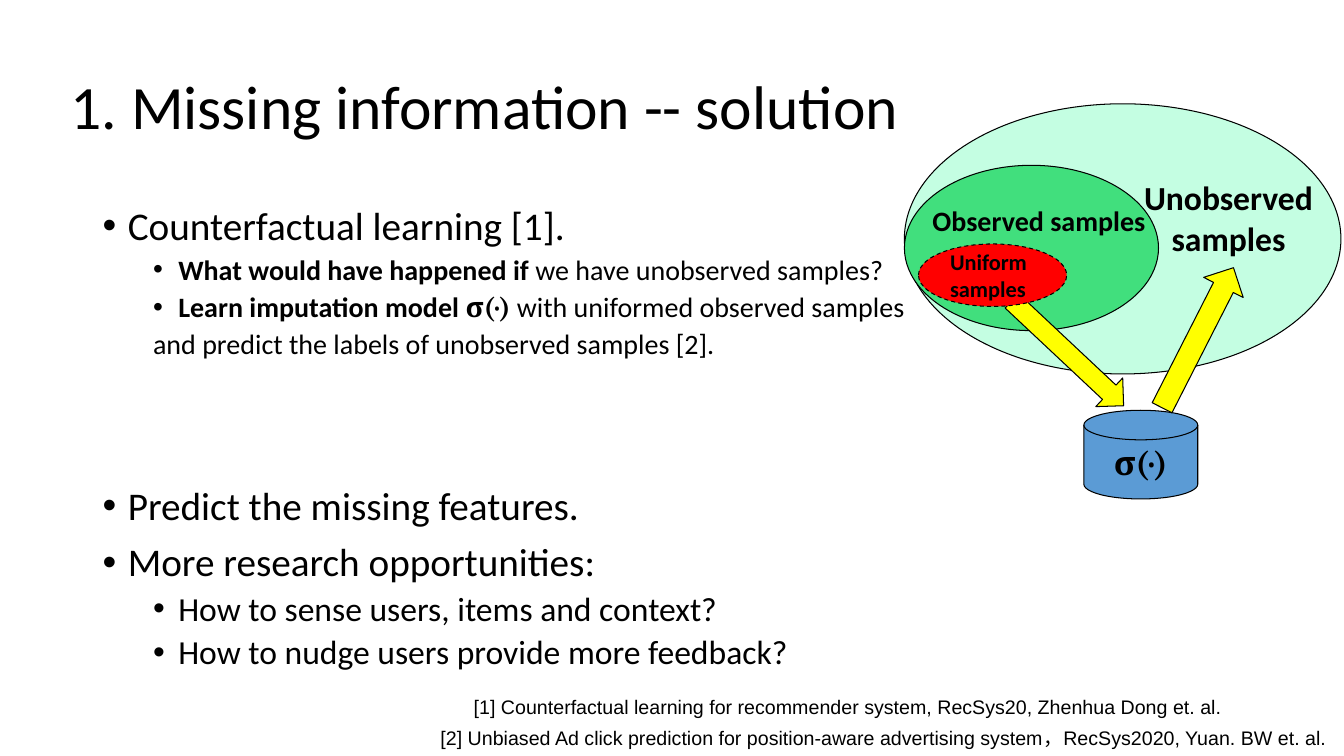
from lxml.etree import SubElement as Sub
from pptx import Presentation
from pptx.dml.color import RGBColor as Rgb
from pptx.enum.dml import MSO_LINE as Dash
from pptx.enum.shapes import MSO_SHAPE as Kind
from pptx.enum.text import MSO_ANCHOR as Anchor, PP_ALIGN as Align
from pptx.oxml.ns import qn
from pptx.util import Pt

PX = 9144
INK = {
    "text": "000000", "pale": "C4FEE2", "green": "41DF7D",
    "red": "FF0000", "blue": "5B9BD5", "yellow": "FFFF00",
}
SANS, MATH, NOTE = "Calibri", "Cambria", "Arial"
TOP, SUB, FLAT = (25, -25, 0), (75, -25, 1), (50, 0, 1)
POINTS = [
    (TOP, 28, 0, [("Counterfactual learning [1].", SANS, False)]),
    (SUB, 20, 5, [("What would have happened if", SANS, True),
                  (" we have unobserved samples?", SANS, False)]),
    (SUB, 20, 5, [("Learn imputation model ", SANS, True),
                  ("σ(·) ", MATH, True),
                  ("with uniformed observed samples", SANS, False)]),
    (FLAT, 20, 5, [("and predict the labels of unobserved samples [2].", SANS, False)]),
    (TOP, 28, 90, [("Predict the missing features.", SANS, False)]),
    (TOP, 28, 10, [("More research opportunities:", SANS, False)]),
    (SUB, 24, 5, [("How to sense users, items and context?", SANS, False)]),
    (SUB, 24, 5, [("How to nudge users provide more feedback?", SANS, False)]),
]
NOTES = [
    (460, 684, "[1] Counterfactual learning for recommender system, RecSys20, Zhenhua Dong et. al."),
    (427, 715, "[2] Unbiased Ad click prediction for position-aware advertising system，RecSys2020, Yuan. BW et. al."),
]
WIDE, HIGH = 1333, 750


def emu(box):
    return [n * PX for n in box]


def add_run(para, text, size, face=SANS, bold=False):
    run = para.add_run()
    run.text = text
    font = run.font
    font.size, font.name, font.bold = Pt(size), face, bold
    font.color.rgb = Rgb.from_string(INK["text"])


def add_text(slide, box):
    frame = slide.shapes.add_textbox(*emu(box)).text_frame
    frame.word_wrap = True
    return frame


def add_label(slide, box, text, size):
    para = add_text(slide, box).paragraphs[0]
    para.alignment = Align.CENTER
    add_run(para, text, size, bold=True)


def add_form(slide, kind, box, tint, turn=0):
    form = slide.shapes.add_shape(kind, *emu(box))
    form.shadow.inherit = False
    form.fill.solid()
    form.fill.fore_color.rgb = Rgb.from_string(INK[tint])
    form.line.color.rgb = Rgb.from_string(INK["text"])
    form.line.width = Pt(0.75)
    form.rotation = turn
    return form


def fill_form(form, text, size, face, align):
    frame = form.text_frame
    frame.word_wrap = True
    frame.vertical_anchor = Anchor.MIDDLE
    para = frame.paragraphs[0]
    para.alignment = align
    add_run(para, text, size, face, True)


def add_title(slide, box):
    frame = add_text(slide, box)
    frame.vertical_anchor = Anchor.MIDDLE
    para = frame.paragraphs[0]
    para.line_spacing = 0.9
    add_run(para, "1. Missing information -- solution", 44)


def add_points(slide, box):
    frame = add_text(slide, box)
    for i, (style, size, gap, runs) in enumerate(POINTS):
        para = frame.add_paragraph() if i else frame.paragraphs[0]
        left, hang, para.level = style
        para.line_spacing = 0.9
        para.space_before = Pt(gap)
        props = para._p.get_or_add_pPr()
        props.set("marL", str(left * PX))
        props.set("indent", str(hang * PX))
        if hang:
            Sub(props, qn("a:buFont")).set("typeface", NOTE)
            Sub(props, qn("a:buChar")).set("char", "•")
        for text, face, bold in runs:
            add_run(para, text, size, face, bold)


def add_chart(slide, box):
    x, y, w, h = box
    add_form(slide, Kind.OVAL, (x, y, w, 268), "pale")
    add_form(slide, Kind.OVAL, (x, y + 61, 252, 164), "green")
    add_label(slide, (x + 12, y + 94, 243, 77), "Observed samples", 20)
    add_label(slide, (x + w - 223, y + 68, 223, 91), "Unobserved samples", 24)
    disk = add_form(slide, Kind.FLOWCHART_MAGNETIC_DISK,
                    (x + 178, y + h - 88, 113, 88), "blue")
    fill_form(disk, "σ(·)", 24, MATH, Align.CENTER)
    add_form(slide, Kind.RIGHT_ARROW, (x + 86, y + 228, 152, 39), "yellow", 43.2)
    add_form(slide, Kind.RIGHT_ARROW, (x + 213, y + 210, 156, 44), "yellow", 297)
    core = add_form(slide, Kind.OVAL, (x + 14, y + 139, 147, 62), "red")
    core.line.dash_style = Dash.DASH
    fill_form(core, "Uniform samples", 16, SANS, Align.LEFT)


def add_notes(slide):
    for x, y, text in NOTES:
        frame = add_text(slide, (x, y, WIDE - x, 34))
        frame.margin_right = 0
        add_run(frame.paragraphs[0], text, 14, NOTE)


def main():
    deck = Presentation()
    deck.slide_width, deck.slide_height = emu((WIDE, HIGH))
    slide = deck.slides.add_slide(deck.slide_layouts[6])
    add_title(slide, (60, 36, 1150, 145))
    add_points(slide, (92, 200, 1150, 476))
    add_chart(slide, (897, 103, 433, 392))
    add_notes(slide)
    deck.save("out.pptx")


if __name__ == "__main__":
    main()
